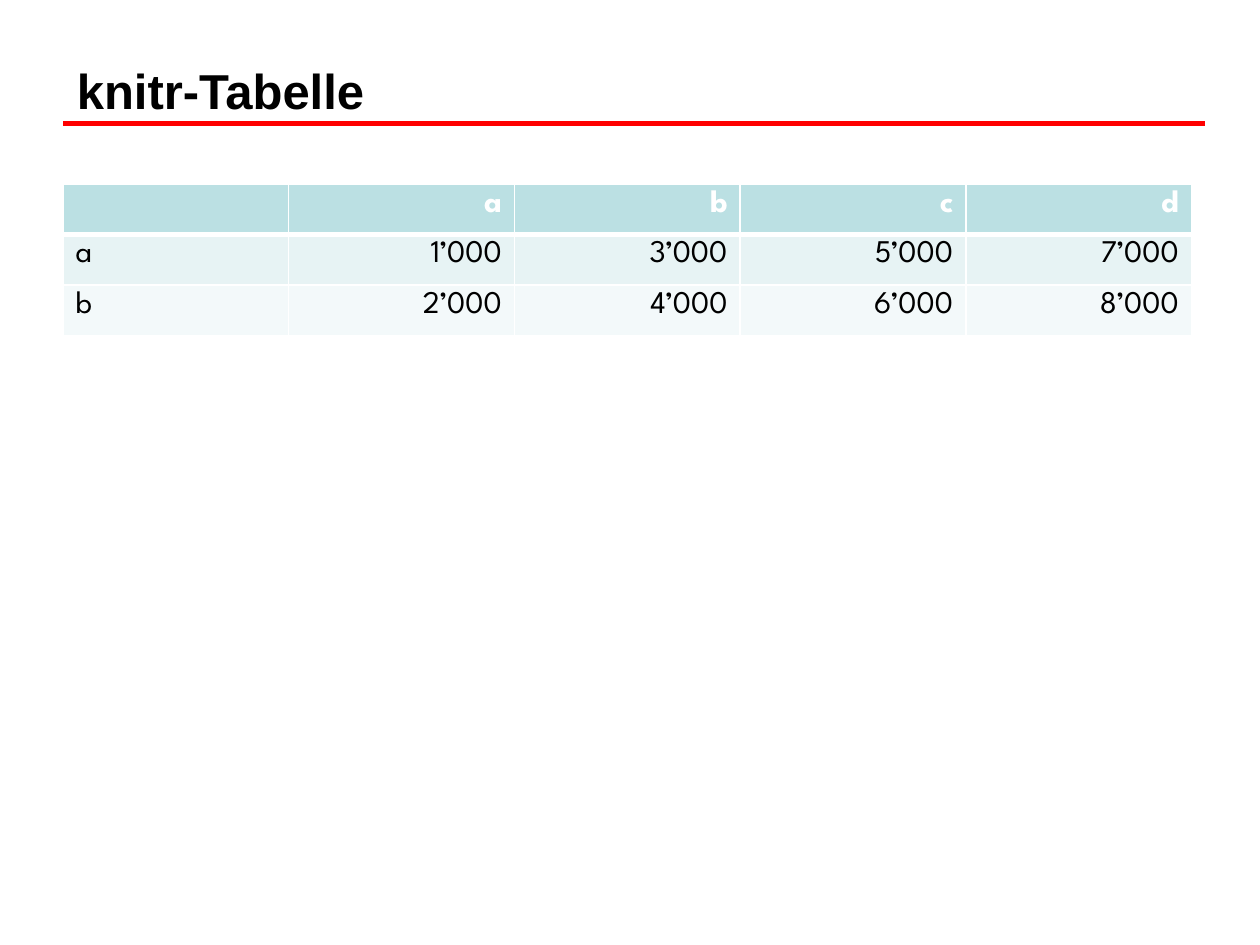
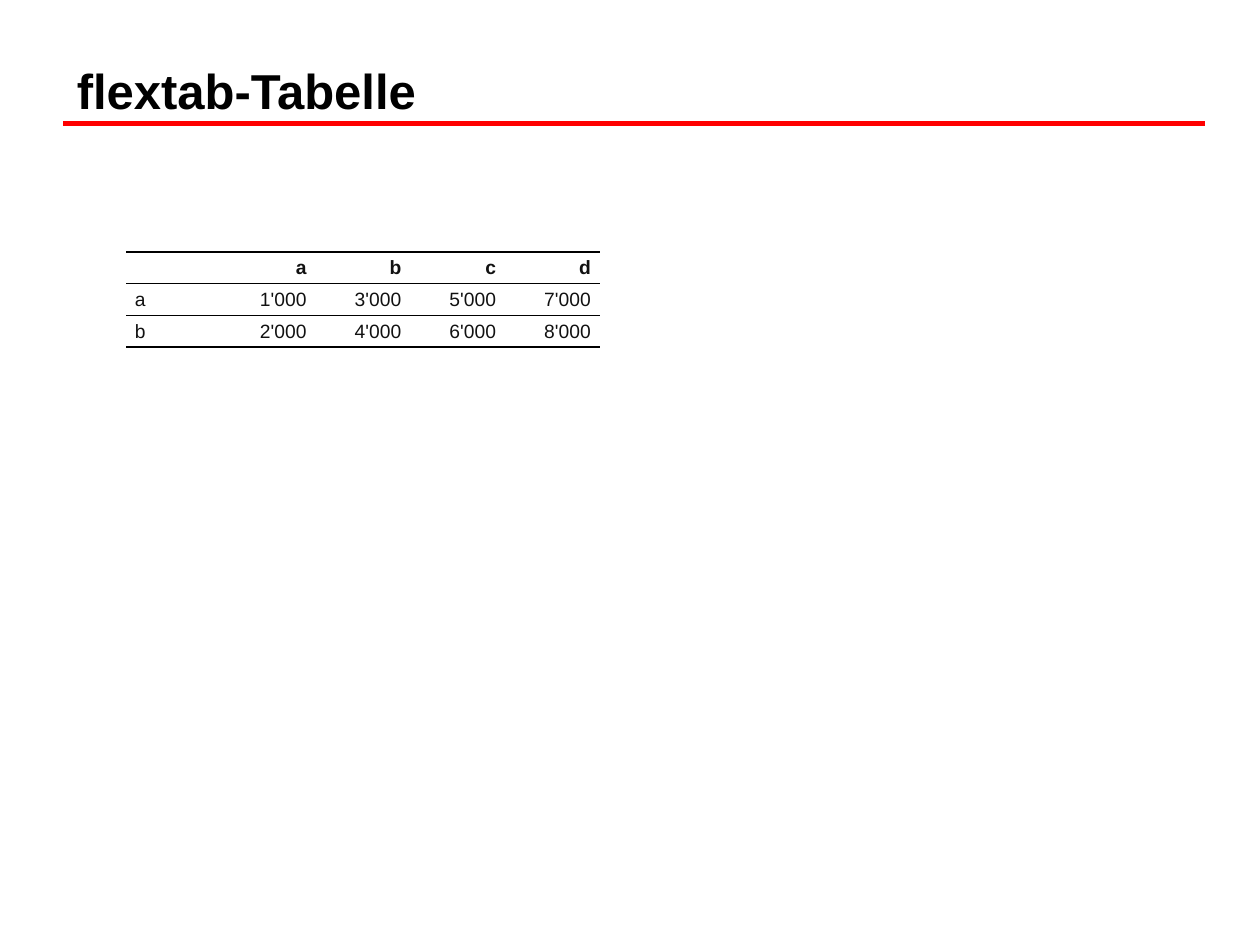
from lxml.etree import SubElement
from pptx import Presentation
from pptx.dml.color import RGBColor
from pptx.enum.shapes import MSO_CONNECTOR as Connector
from pptx.enum.text import MSO_ANCHOR as Anchor, PP_ALIGN as Align
from pptx.oxml.ns import qn
from pptx.util import Cm, Pt

BLACK = RGBColor(0x00, 0x00, 0x00)
INK = RGBColor(0x11, 0x11, 0x11)
WHITE = RGBColor(0xFF, 0xFF, 0xFF)
RED = RGBColor(0xFF, 0x00, 0x00)
TEAL = RGBColor(0xBB, 0xE0, 0xE3)
TEAL_LIGHT = RGBColor(0xE7, 0xF3, 0xF4)
TEAL_PALE = RGBColor(0xF3, 0xF9, 0xFA)
PLAIN_TABLE_STYLE = "{2D5ABB26-0587-4C30-8999-92F81FD0307C}"

HEADER = ["", "a", "b", "c", "d"]
VALUES = {"a": [1, 3, 5, 7], "b": [2, 4, 6, 8]}

TABLES = [
    {
        "title": "knitr-Tabelle",
        "left": 1.27, "top": 3.71, "column": 4.55, "row": 0.83,
        "font": "League Spartan", "size": 18, "mark": "’", "spacing": 0,
        "text_colors": [WHITE, BLACK, BLACK],
        "fills": [TEAL, TEAL_LIGHT, TEAL_PALE],
        "border_color": WHITE,
        "borders": [{"L": 1, "R": 1, "T": 1, "B": 3},
                    {"L": 1, "R": 1, "B": 1},
                    {"L": 1, "R": 1, "B": 1}],
        "cell": {},
    },
    {
        "title": "flextab-Tabelle",
        "left": 2.54, "top": 5.08, "column": 1.91, "row": 0.64,
        "font": "Arial", "size": 11, "mark": "'", "spacing": 2,
        "text_colors": [INK, INK, INK],
        "fills": [None, None, None],
        "border_color": BLACK,
        "borders": [{"T": 1}, {"T": 1}, {"B": 1}],
        "cell": {"margin_left": Cm(0.18), "margin_right": Cm(0.18),
                 "margin_top": 0, "margin_bottom": 0,
                 "vertical_anchor": Anchor.MIDDLE},
    },
]


def write(paragraph, text, font, size, color, bold):
    if not text:
        # An empty cell keeps the row's text height
        end = SubElement(paragraph._p, qn("a:endParaRPr"), sz=str(size * 100))
        SubElement(end, qn("a:latin"), typeface=font)
        return
    run = paragraph.add_run()
    run.text = text
    for name, value in {"name": font, "size": Pt(size), "bold": bold}.items():
        setattr(run.font, name, value)
    run.font.color.rgb = color


def draw_borders(cell, widths, color):
    """Line the given sides; call before filling the cell."""
    properties = cell._tc.get_or_add_tcPr()
    for side, width in widths.items():
        line = SubElement(properties, qn(f"a:ln{side}"), w=str(Pt(width)))
        fill = SubElement(line, qn("a:solidFill"))
        SubElement(fill, qn("a:srgbClr"), val=str(color))


prs = Presentation()
prs.slide_width, prs.slide_height = Cm(25.4), Cm(19.05)

for spec_table in TABLES:
    slide = prs.slides.add_slide(prs.slide_layouts[6])

    rule = slide.shapes.add_connector(
        Connector.STRAIGHT, Cm(1.27), Cm(2.49), Cm(24.3), Cm(2.49))
    rule.line.color.rgb = RED
    rule.line.width = Pt(2.5)
    SubElement(rule._element.spPr, qn("a:effectLst"))

    title = slide.shapes.add_textbox(
        Cm(1.3), Cm(0.71), Cm(22.86), Cm(2.21)).text_frame
    title.word_wrap = True
    title.vertical_anchor = Anchor.MIDDLE
    write(title.paragraphs[0], spec_table["title"], "Arial", 28, BLACK, True)

    rows = [HEADER] + [
        [label] + [f"{value}{spec_table['mark']}000" for value in values]
        for label, values in VALUES.items()]
    table = slide.shapes.add_table(
        len(rows), len(HEADER), Cm(spec_table["left"]), Cm(spec_table["top"]),
        Cm(spec_table["column"] * len(HEADER)),
        Cm(spec_table["row"] * len(rows))).table
    table.horz_banding = False
    table._tbl.tblPr.find(qn("a:tableStyleId")).text = PLAIN_TABLE_STYLE
    for column in table.columns:
        column.width = Cm(spec_table["column"])

    for r, texts in enumerate(rows):
        table.rows[r].height = Cm(spec_table["row"])
        for c, text in enumerate(texts):
            cell = table.cell(r, c)
            for name, value in spec_table["cell"].items():
                setattr(cell, name, value)
            draw_borders(cell, spec_table["borders"][r],
                         spec_table["border_color"])
            if spec_table["fills"][r] is None:
                cell.fill.background()
            else:
                cell.fill.solid()
                cell.fill.fore_color.rgb = spec_table["fills"][r]
            paragraph = cell.text_frame.paragraphs[0]
            paragraph.alignment = Align.RIGHT if c else Align.LEFT
            paragraph.space_before = Pt(spec_table["spacing"])
            paragraph.space_after = Pt(spec_table["spacing"])
            write(paragraph, text, spec_table["font"], spec_table["size"],
                  spec_table["text_colors"][r], r == 0)

prs.save("out.pptx")
